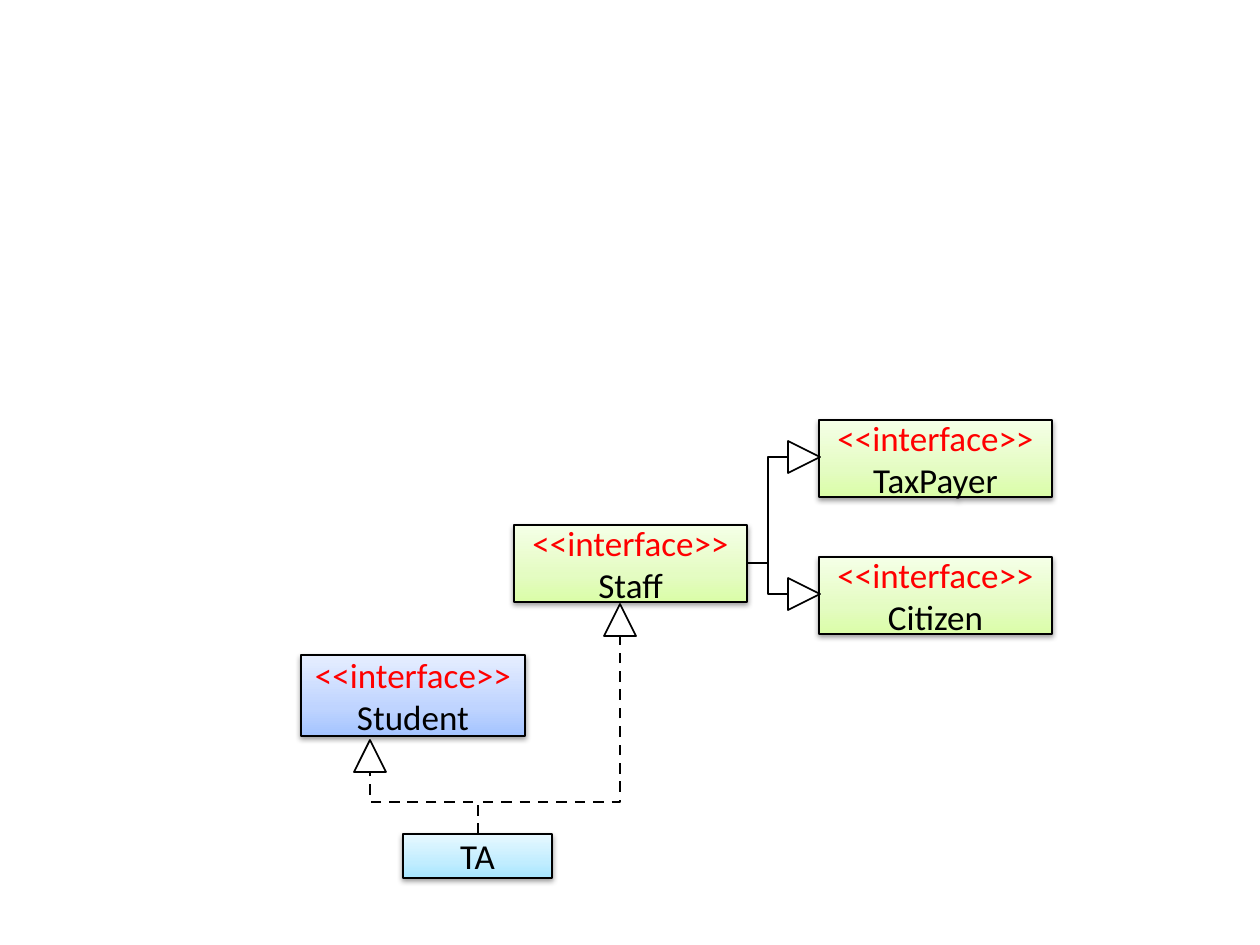
import copy

import pptx
import pptx.dml.color
import pptx.enum.dml
import pptx.enum.shapes
import pptx.enum.text
import pptx.oxml
import pptx.oxml.ns
import pptx.util

SCALE = 914400 / 126  # EMU per px
BLACK, RED, WHITE = "000000", "FF0000", "FFFFFF"
GREEN = ("DAFDA7", "E4FCC2", "F5FFE7")
BLUE = ("A4C4FF", "BFD4FF", "E6EEFF")
CYAN = ("A7E6FF", "C1EDFF", "E7F8FF")
SHADOW = (
    '<a:effectLst %s><a:outerShdw blurRad="40000" dist="20000" dir="5400000" rotWithShape="0">'
    '<a:srgbClr val="000000"><a:alpha val="38000"/></a:srgbClr></a:outerShdw></a:effectLst>'
    % pptx.oxml.ns.nsdecls("a")
)
MSO_SHAPE = pptx.enum.shapes.MSO_SHAPE
color = pptx.dml.color.RGBColor.from_string


def px(*lengths):
    return [pptx.util.Emu(round(length * SCALE)) for length in lengths]


def write(paragraph, text, font="Calibri", size=20, fill=BLACK):
    paragraph.alignment = pptx.enum.text.PP_ALIGN.CENTER
    run = paragraph.add_run()
    run.text = text
    run.font.name = font
    run.font.size = pptx.util.Pt(size)
    run.font.color.rgb = color(fill)


presentation = pptx.Presentation()
presentation.slide_width, presentation.slide_height = px(1260, 945)
slide = presentation.slides.add_slide(presentation.slide_layouts[6])

# Elbow connectors: start, end, distance to the bend, whether they run upwards
connectors = [
    ((478, 834), (620, 636), 32, True),
    ((478, 834), (370, 772), 32, True),
    ((748, 563), (788, 457), 20, False),
    ((748, 563), (788, 594), 20, False),
]
for (x1, y1), (x2, y2), bend, upward in connectors:
    length = x2 - x1
    if upward:
        # Lay the path out sideways around its centre, then turn it by 270 degrees
        length, run = y1 - y2, x2 - x1
        center_x, center_y = (x1 + x2) / 2, (y1 + y2) / 2
        x1, x2 = center_x - length / 2, center_x + length / 2
        y1, y2 = center_y - run / 2, center_y + run / 2
    connector = slide.shapes.add_connector(
        pptx.enum.shapes.MSO_CONNECTOR.ELBOW, *px(x1, y1, x2, y2))
    connector.line.color.rgb = color(BLACK)
    connector.line.width = pptx.util.Pt(1.5)
    properties = connector._element.spPr
    if upward:
        connector.line.dash_style = pptx.enum.dml.MSO_LINE.DASH
        properties.find(pptx.oxml.ns.qn("a:xfrm")).set("rot", str(270 * 60000))
    guides = properties.find(".//" + pptx.oxml.ns.qn("a:avLst"))
    guides.append(pptx.oxml.parse_xml(
        '<a:gd %s name="adj1" fmla="val %d"/>'
        % (pptx.oxml.ns.nsdecls("a"), round(100000 * bend / length))))
    properties.append(pptx.oxml.parse_xml("<a:effectLst %s/>" % pptx.oxml.ns.nsdecls("a")))

# Class and interface boxes
boxes = [
    ("Student", True, (301, 655, 224, 81), BLUE),
    ("Staff", True, (514, 525, 233, 77), GREEN),
    ("TA", False, (403, 834, 149, 44), CYAN),
    ("TaxPayer", True, (819, 420, 233, 77), GREEN),
    ("Citizen", True, (819, 557, 233, 77), GREEN),
]
for name, is_interface, place, colors in boxes:
    shape = slide.shapes.add_shape(MSO_SHAPE.RECTANGLE, *px(*place))
    shape.line.color.rgb = color(BLACK)
    shape.line.width = pptx.util.Pt(0.75)
    shape.fill.gradient()
    shape.fill.gradient_angle = 90
    stops = shape._element.spPr.find(".//" + pptx.oxml.ns.qn("a:gsLst"))
    stops.insert(1, copy.deepcopy(stops[0]))
    for stop, position, stop_color in zip(shape.fill.gradient_stops, (0, 0.35, 1), colors):
        stop.position = position
        stop.color.rgb = color(stop_color)
    shape._element.spPr.append(pptx.oxml.parse_xml(SHADOW))

    frame = shape.text_frame
    frame.word_wrap = True
    frame.vertical_anchor = pptx.enum.text.MSO_ANCHOR.MIDDLE
    paragraph = frame.paragraphs[0]
    if is_interface:
        write(paragraph, "<<interface>>", fill=RED)
        paragraph = frame.add_paragraph()
    write(paragraph, name)

# Hollow inheritance arrowheads
for left, top, rotation in [(604, 604, 0), (354, 740, 0), (788, 441, 90), (788, 578, 90)]:
    shape = slide.shapes.add_shape(MSO_SHAPE.FLOWCHART_EXTRACT, *px(left, top, 32, 32))
    shape.rotation = rotation
    shape.shadow.inherit = False
    shape.fill.solid()
    shape.fill.fore_color.rgb = color(WHITE)
    shape.line.color.rgb = color(BLACK)
    shape.line.width = pptx.util.Pt(1)

presentation.save("out.pptx")
